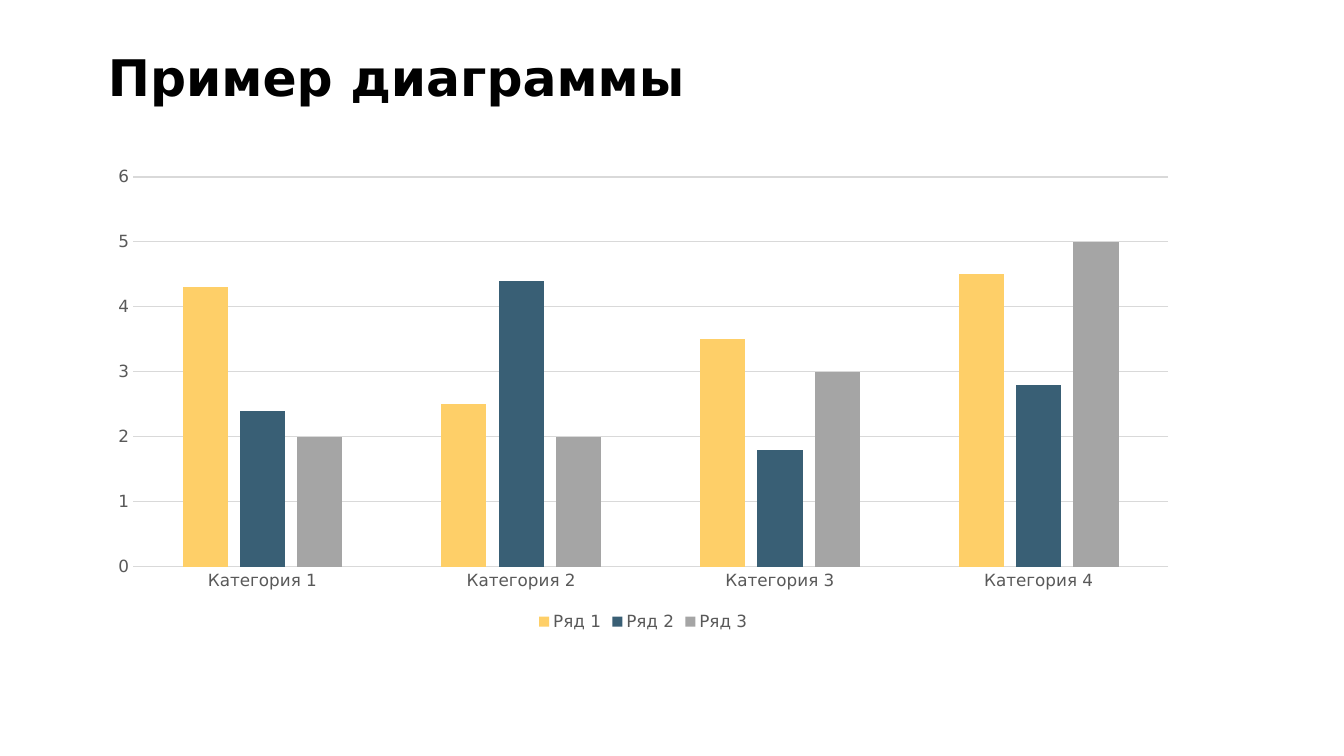
from pptx import Presentation
from pptx.chart import data
from pptx.dml import color
from pptx.enum import chart as kinds, text
from pptx.util import Pt

FONT = "DejaVu Sans"
COLORS = {
    "title": "000000",
    "label": "595959",
    "grid": "D9D9D9",
    "Ряд 1": "FECF68",
    "Ряд 2": "395F75",
    "Ряд 3": "A5A5A5",
}
CATEGORIES = [f"Категория {number}" for number in range(1, 5)]
SERIES = {
    "Ряд 1": (4.3, 2.5, 3.5, 4.5),
    "Ряд 2": (2.4, 4.4, 1.8, 2.8),
    "Ряд 3": (2, 2, 3, 5),
}


def rgb(name):
    """Return the named colour."""
    return color.RGBColor.from_string(COLORS[name])


def apply(target, **values):
    """Set every given format value on the target."""
    for name, value in values.items():
        setattr(target, name, value)


def style_font(font, size, shade, bold=False):
    """Give a font its face, size, weight and colour."""
    apply(font, name=FONT, size=Pt(size), bold=bold)
    font.color.rgb = rgb(shade)


def style_line(line):
    """Draw a thin line in the grid colour."""
    line.color.rgb = rgb("grid")
    line.width = Pt(0.75)


def add_title(page, wording, left, top, width, height):
    """Add the heading of the page."""
    box = page.shapes.add_textbox(Pt(left), Pt(top), Pt(width), Pt(height))
    apply(box.text_frame, word_wrap=True, vertical_anchor=text.MSO_ANCHOR.TOP)
    para = box.text_frame.paragraphs[0]
    para.line_spacing = 0.9
    span = para.add_run()
    span.text = wording
    style_font(span.font, 36, "title", bold=True)


def style_axes(chart):
    """Format both axes and the gridlines of the chart."""
    category, value = chart.category_axis, chart.value_axis
    for axis in (category, value):
        apply(axis, major_tick_mark=kinds.XL_TICK_MARK.NONE,
              minor_tick_mark=kinds.XL_TICK_MARK.NONE)
        style_font(axis.tick_labels.font, 12, "label")
    apply(value, minimum_scale=0, maximum_scale=6, major_unit=1,
          has_major_gridlines=True)
    style_line(category.format.line)
    style_line(value.major_gridlines.format.line)
    value.format.line.fill.background()


def add_columns(page, left, top, width, height):
    """Add the clustered column chart."""
    values = data.CategoryChartData(number_format="General")
    values.categories = CATEGORIES
    for name, numbers in SERIES.items():
        values.add_series(name, numbers)
    chart = page.shapes.add_chart(
        kinds.XL_CHART_TYPE.COLUMN_CLUSTERED,
        Pt(left), Pt(top), Pt(width), Pt(height), values).chart
    apply(chart, has_title=False, has_legend=True)
    style_font(chart.font, 10, "title")
    apply(chart.legend, position=kinds.XL_LEGEND_POSITION.BOTTOM,
          include_in_layout=False)
    style_font(chart.legend.font, 12, "label")
    style_axes(chart)
    plot = chart.plots[0]
    apply(plot, gap_width=219, overlap=-27, vary_by_categories=False)
    for series in plot.series:
        series.format.fill.solid()
        series.format.fill.fore_color.rgb = rgb(series.name)


def main():
    """Build the slide and save it."""
    deck = Presentation()
    apply(deck, slide_width=Pt(960), slide_height=Pt(540))
    page = deck.slides.add_slide(deck.slide_layouts[6])
    add_title(page, "Пример диаграммы", 70, 34.5, 818.5, 78)
    add_columns(page, 69, 112.5, 781, 341.5)
    deck.save("out.pptx")


if __name__ == "__main__":
    main()
